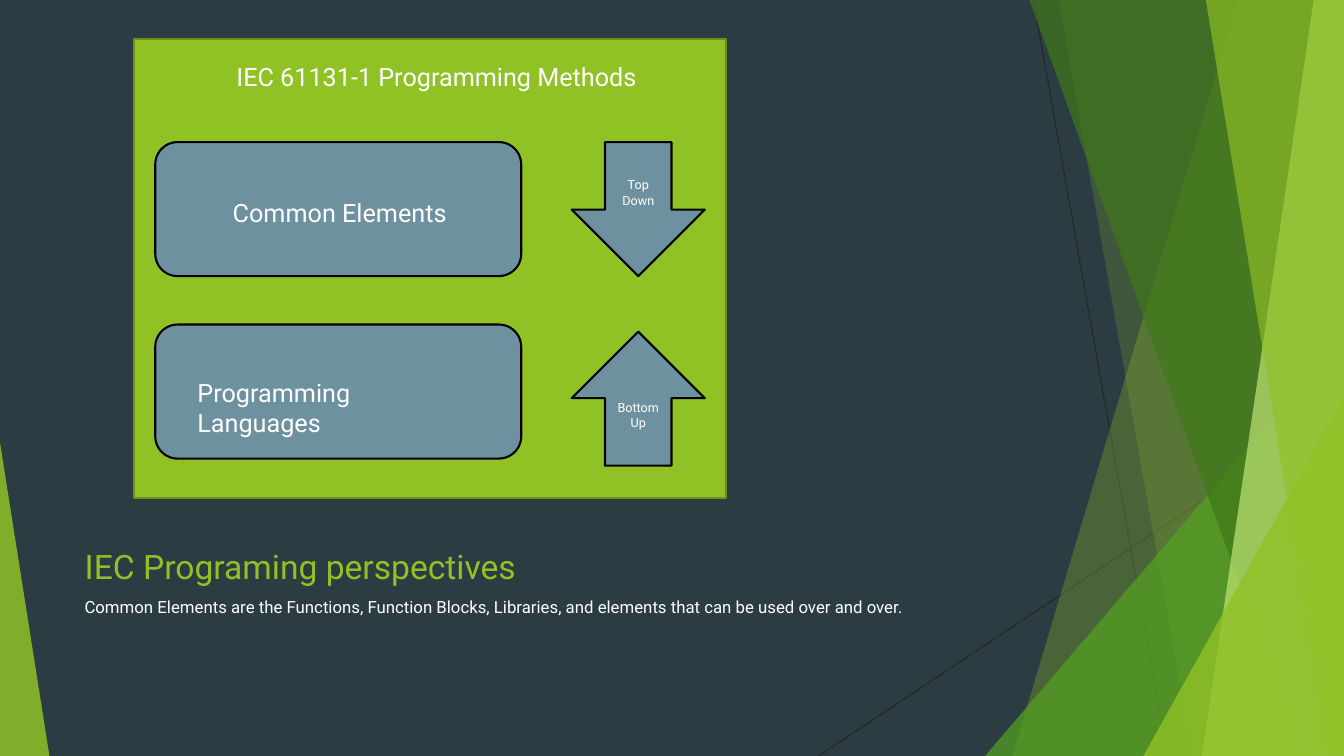
from dataclasses import dataclass

from lxml import etree
from pptx import Presentation
from pptx.dml.color import RGBColor
from pptx.enum.shapes import MSO_CONNECTOR, MSO_SHAPE
from pptx.enum.text import MSO_ANCHOR, MSO_AUTO_SIZE, PP_ALIGN
from pptx.oxml.ns import qn
from pptx.util import Inches, Pt

RECT = MSO_SHAPE.RECTANGLE
ROUNDED = MSO_SHAPE.ROUNDED_RECTANGLE
TRIANGLE = MSO_SHAPE.ISOSCELES_TRIANGLE
DOWN_ARROW = MSO_SHAPE.DOWN_ARROW
UP_ARROW = MSO_SHAPE.UP_ARROW
STRAIGHT = MSO_CONNECTOR.STRAIGHT
LEFT, CENTER = PP_ALIGN.LEFT, PP_ALIGN.CENTER
TOP, MIDDLE, BOTTOM = MSO_ANCHOR.TOP, MSO_ANCHOR.MIDDLE, MSO_ANCHOR.BOTTOM
NO_AUTOFIT = MSO_AUTO_SIZE.NONE

SLATE = RGBColor(0x2C, 0x3C, 0x43)
LIME = RGBColor(0x90, 0xC2, 0x26)
LIME_EDGE = RGBColor(0x6B, 0x90, 0x1C)
PALE_LIME = RGBColor(0xC0, 0xE4, 0x74)
GREEN = RGBColor(0x54, 0xA0, 0x21)
DARK_GREEN = RGBColor(0x3F, 0x78, 0x19)
BLUE_GREY = RGBColor(0x6E, 0x91, 0xA0)
CHARCOAL = RGBColor(0x26, 0x26, 0x26)
BLACK = RGBColor(0, 0, 0)
WHITE = RGBColor(0xFF, 0xFF, 0xFF)

FONT = "Roboto"
WIDTH, HEIGHT = 13.33, 7.5


@dataclass
class Band:
    top_x: float
    bottom_x: float
    color: RGBColor
    opacity: int


@dataclass
class Wedge:
    left: float
    top: float
    width: float
    apex: float
    color: RGBColor
    opacity: int


@dataclass
class Block:
    kind: MSO_SHAPE
    left: float
    top: float
    width: float
    height: float
    fill: RGBColor = BLUE_GREY
    edge: RGBColor = BLACK
    text: str = ""


@dataclass
class Label:
    text: str
    left: float
    top: float
    width: float
    height: float
    size: int
    align: PP_ALIGN = LEFT
    margin_right: float = 0.1


RAYS = [(10.25, 0, 11.58, HEIGHT), (WIDTH, 4.03, 8.12, HEIGHT)]
FACETS = [
    Band(12.28, 10.04, LIME, 30),
    Band(10.5, 11.83, LIME, 20),
    Wedge(9.77, 3.33, 3.56, 1, GREEN, 72),
    Band(10.21, 12.91, DARK_GREEN, 70),
    Band(13.03, 11.92, PALE_LIME, 70),
    Band(11.96, 13.18, LIME, 65),
    Wedge(11.34, 3.93, 1.99, 1, LIME, 80),
    Wedge(0, 4.39, 0.49, 0, LIME, 85),
]
BLOCKS = [
    Block(RECT, 1.33, 0.39, 5.87, 4.55, LIME, LIME_EDGE),
    Block(ROUNDED, 1.54, 1.41, 3.63, 1.33),
    Block(ROUNDED, 1.54, 3.22, 3.63, 1.33),
    Block(DOWN_ARROW, 5.67, 1.41, 1.32, 1.33, text="Top Down"),
    Block(UP_ARROW, 5.67, 3.29, 1.32, 1.33, text="Bottom Up"),
]
LABELS = [
    Label("IEC 61131-1 Programming Methods", 1.54, 0.56, 5.58, 0.42, 18, CENTER),
    Label("Common Elements", 2.21, 1.91, 2.82, 0.4, 18),
    Label("Programming Languages", 1.86, 3.69, 2.99, 0.4, 18, margin_right=0.8),
    Label("Common Elements are the Functions, Function Blocks, Libraries, "
          "and elements that can be used over and over.", 0.74, 5.87, 9.4, 0.74, 12),
]


def write(shape, text: str, size: int, color: RGBColor, align: PP_ALIGN, anchor: MSO_ANCHOR) -> None:
    tf = shape.text_frame
    tf.text = text
    tf.word_wrap = True
    tf.auto_size = NO_AUTOFIT
    tf.vertical_anchor = anchor
    p = tf.paragraphs[0]
    p.alignment = align
    font = p.runs[0].font
    font.name, font.size, font.color.rgb = FONT, Pt(size), color


def add_ray(s, x1: float, y1: float, x2: float, y2: float) -> None:
    line = s.shapes.add_connector(STRAIGHT, Inches(x1), Inches(y1), Inches(x2), Inches(y2))
    line.line.color.rgb = CHARCOAL
    line.line.width = Pt(0.75)
    etree.SubElement(line._element.spPr, qn("a:effectLst"))


def add_facet(s, facet: Band | Wedge) -> None:
    if isinstance(facet, Band):
        builder = s.shapes.build_freeform(Inches(facet.top_x), 0, 1.0)
        corners = [(WIDTH, 0), (WIDTH, HEIGHT), (facet.bottom_x, HEIGHT)]
        builder.add_line_segments([(Inches(x), Inches(y)) for x, y in corners], close=True)
        sp = builder.convert_to_shape()
    else:
        sp = s.shapes.add_shape(TRIANGLE, Inches(facet.left), Inches(facet.top),
                                Inches(facet.width), Inches(HEIGHT - facet.top))
        sp.adjustments[0] = facet.apex
    sp.shadow.inherit = False
    sp.line.fill.background()
    sp.fill.solid()
    sp.fill.fore_color.rgb = facet.color
    color = sp._element.spPr.find(qn("a:solidFill"))[0]
    etree.SubElement(color, qn("a:alpha"), val=str(facet.opacity * 1000))


def add_block(s, block: Block) -> None:
    sp = s.shapes.add_shape(block.kind, Inches(block.left), Inches(block.top),
                            Inches(block.width), Inches(block.height))
    sp.shadow.inherit = False
    sp.fill.solid()
    sp.fill.fore_color.rgb = block.fill
    sp.line.color.rgb = block.edge
    sp.line.width = Pt(1.5)
    if block.text:
        write(sp, block.text, 9, WHITE, CENTER, MIDDLE)


def add_label(s, label: Label) -> None:
    box = s.shapes.add_textbox(Inches(label.left), Inches(label.top),
                               Inches(label.width), Inches(label.height))
    write(box, label.text, label.size, WHITE, label.align, TOP)
    box.text_frame.margin_right = Inches(label.margin_right)


def main() -> None:
    prs = Presentation()
    prs.slide_width, prs.slide_height = Inches(WIDTH), Inches(HEIGHT)
    s = prs.slides.add_slide(prs.slide_layouts.get_by_name("Title Only"))
    s.background.fill.solid()
    s.background.fill.fore_color.rgb = SLATE

    title = s.shapes.title
    title.left, title.top = Inches(0.74), Inches(5.25)
    title.width, title.height = Inches(9.4), Inches(0.62)
    write(title, "IEC Programing perspectives", 24, LIME, LEFT, BOTTOM)

    for ray in RAYS:
        add_ray(s, *ray)
    for facet in FACETS:
        add_facet(s, facet)
    for block in BLOCKS:
        add_block(s, block)
    for label in LABELS:
        add_label(s, label)
    prs.save("out.pptx")


if __name__ == "__main__":
    main()
